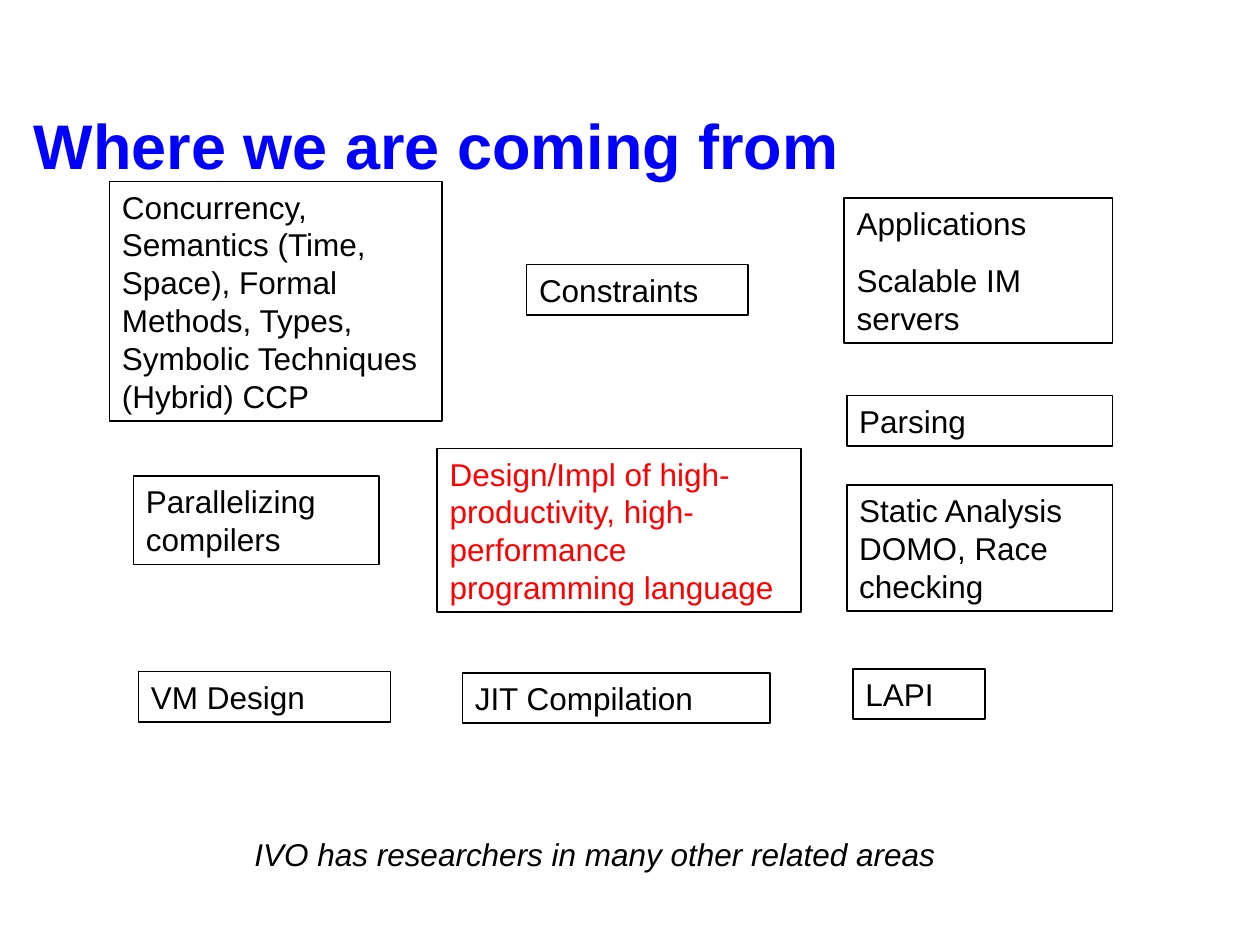
"""Build a slide of labelled boxes showing the research areas behind a language project."""
from dataclasses import dataclass, field

from pptx import Presentation
from pptx import util as u
from pptx.dml.color import RGBColor
from pptx.enum import shapes, text

BLACK, RED, BLUE = "000000", "FF0000", "0000FF"


@dataclass
class Label:
    left: float
    top: float
    width: float
    height: float
    paragraphs: tuple[str, ...]
    color: str = BLACK
    font: dict = field(default_factory=dict)
    paragraph: dict = field(default_factory=dict)
    anchor: text.MSO_ANCHOR = text.MSO_ANCHOR.TOP


TITLE = Label(0.17, 0.95, 9.58, 0.55, ("Where we are coming from",), BLUE,
              {"size": u.Pt(36), "bold": True}, {"line_spacing": 0.9},
              text.MSO_ANCHOR.BOTTOM)
AREAS = (
    Label(3.47, 3.56, 2.89, 1.3,
          ("Design/Impl of high-productivity, high-performance programming language",), RED),
    Label(1.06, 3.78, 1.95, 0.7, ("Parallelizing compilers",)),
    Label(1.1, 5.33, 2, 0.4, ("VM Design",)),
    Label(6.77, 5.31, 1.05, 0.4, ("LAPI",)),
    Label(0.87, 1.44, 2.64, 1.9,
          ("Concurrency, Semantics (Time, Space), Formal Methods, Types, "
           "Symbolic Techniques (Hybrid) CCP",)),
    Label(4.18, 2.1, 1.76, 0.4, ("Constraints",)),
    Label(6.72, 3.85, 2.11, 1, ("Static Analysis DOMO, Race checking",)),
    Label(3.67, 5.34, 2.44, 0.4, ("JIT Compilation",)),
    Label(6.7, 1.57, 2.13, 1.15, ("Applications", "Scalable IM servers")),
    Label(6.72, 3.14, 2.11, 0.4, ("Parsing",)),
)
FOOTNOTE = Label(1.92, 6.58, 6.11, 0.4,
                 ("IVO has researchers in many other related areas",),
                 font={"italic": True})


def rgb(color: str) -> RGBColor:
    return RGBColor.from_string(color)


def apply(target, values: dict) -> None:
    for name, value in values.items():
        setattr(target, name, value)


def bounds(label: Label) -> tuple:
    return tuple(map(u.Inches, (label.left, label.top, label.width, label.height)))


def write(shape, label: Label) -> None:
    frame = shape.text_frame
    apply(frame, {"word_wrap": True, "vertical_anchor": label.anchor})
    for index, line in enumerate(label.paragraphs):
        paragraph = frame.add_paragraph() if index else frame.paragraphs[0]
        paragraph.text = line
        spacing = {"space_before": u.Pt(11.2)} if index else {}
        apply(paragraph, {"alignment": text.PP_ALIGN.LEFT, **spacing, **label.paragraph})
        apply(paragraph.font, {"name": "Arial", "size": u.Pt(18), **label.font})
        paragraph.font.color.rgb = rgb(label.color)


def add_text(slide, label: Label) -> None:
    write(slide.shapes.add_textbox(*bounds(label)), label)


def add_box(slide, label: Label) -> None:
    shape = slide.shapes.add_shape(shapes.MSO_SHAPE.RECTANGLE, *bounds(label))
    shape.shadow.inherit = False
    shape.fill.background()
    shape.line.color.rgb = rgb(BLACK)
    shape.line.width = u.Pt(1)
    write(shape, label)


def main() -> None:
    presentation = Presentation()
    apply(presentation, {"slide_width": u.Inches(10), "slide_height": u.Inches(7.5)})
    slide = presentation.slides.add_slide(presentation.slide_layouts[6])
    add_text(slide, TITLE)
    for area in AREAS:
        add_box(slide, area)
    add_text(slide, FOOTNOTE)
    presentation.save("out.pptx")


if __name__ == "__main__":
    main()
